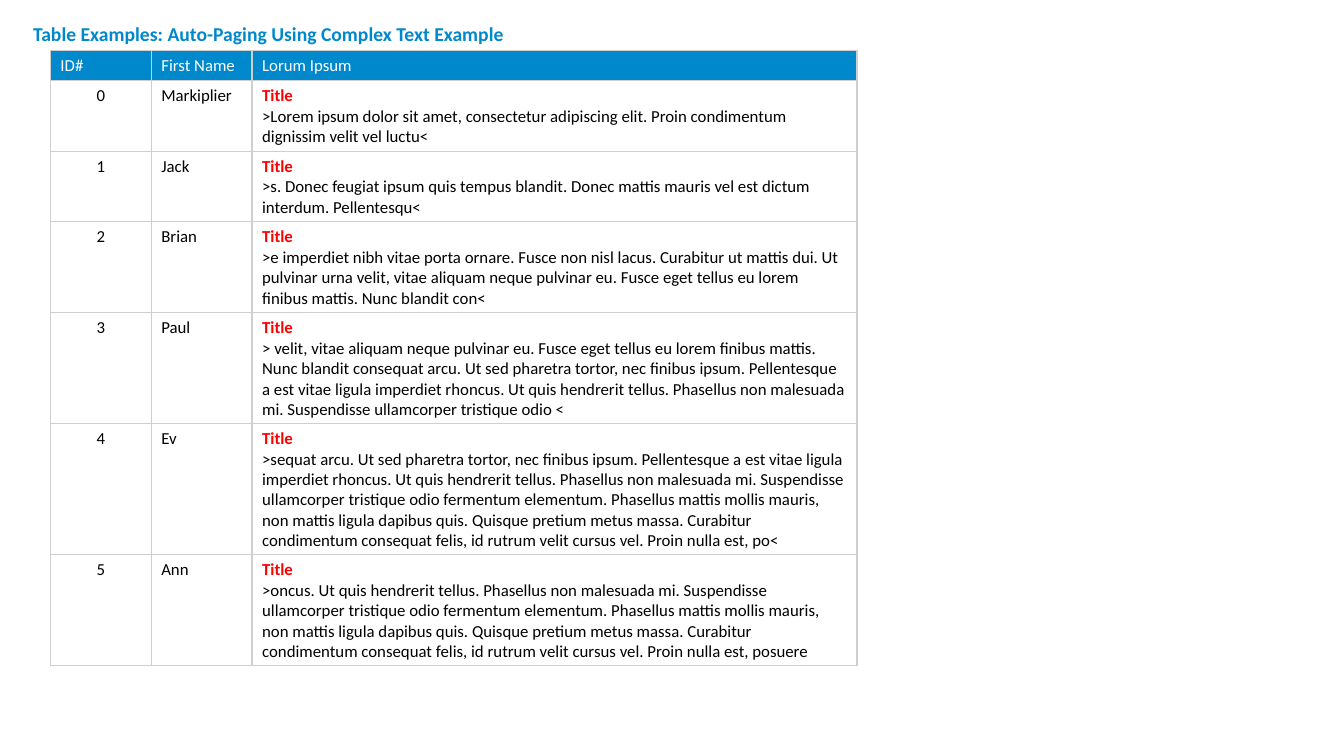
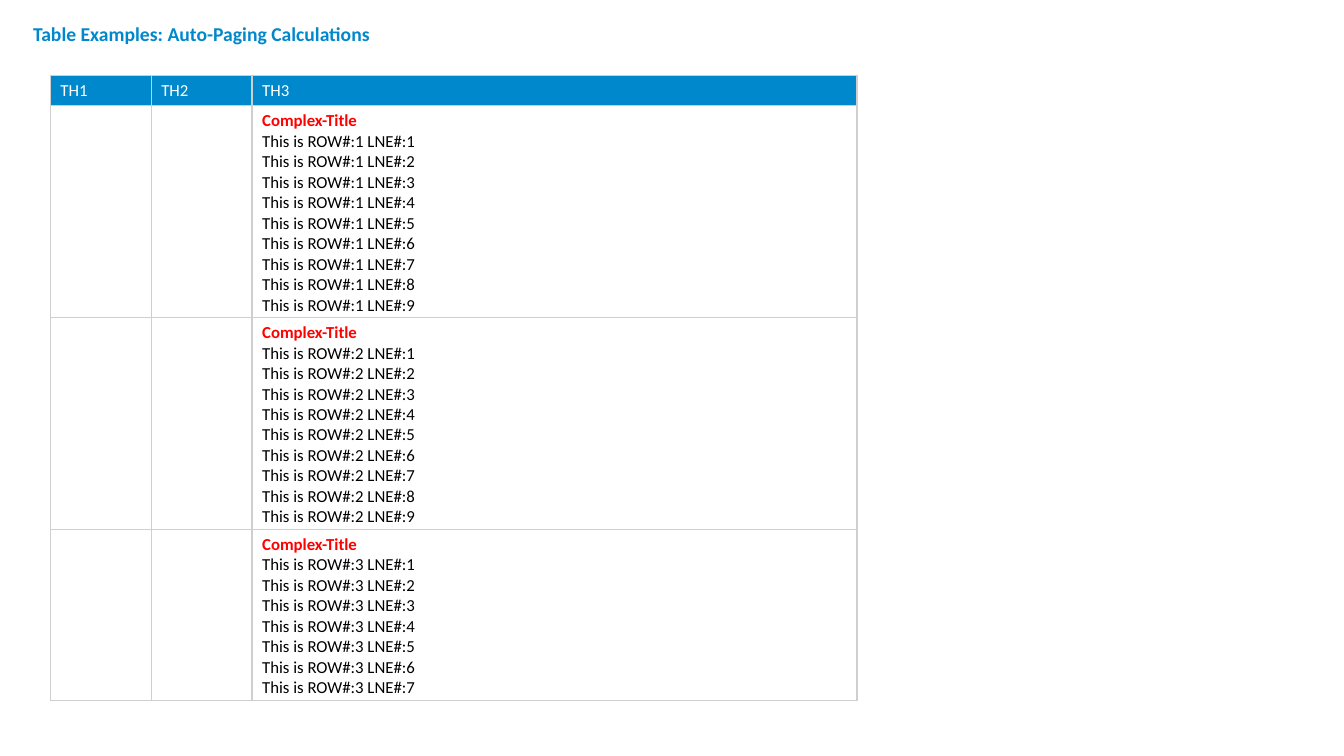
"""Build two slides of auto-paged tables with complex text cells."""
import pptx
import pptx.dml.color
import pptx.enum.text
import pptx.oxml
import pptx.oxml.ns
import pptx.util

Inches, Pt = pptx.util.Inches, pptx.util.Pt
CENTER = pptx.enum.text.PP_ALIGN.CENTER
MIDDLE = pptx.enum.text.MSO_ANCHOR.MIDDLE
HUES = {"blue": "0088CC", "white": "FFFFFF", "black": "000000", "red": "FF0000", "grey": "CFCFCF"}
FONT = "Calibri"
WIDTHS = [1, 1, 6]
LEAST = 0.3

LOREM = [
    ("Markiplier", ">Lorem ipsum dolor sit amet, consectetur adipiscing elit. Proin condimentum "
     "dignissim velit vel luctu<"),
    ("Jack", ">s. Donec feugiat ipsum quis tempus blandit. Donec mattis mauris vel est dictum "
     "interdum. Pellentesqu<"),
    ("Brian", ">e imperdiet nibh vitae porta ornare. Fusce non nisl lacus. Curabitur ut mattis dui. "
     "Ut pulvinar urna velit, vitae aliquam neque pulvinar eu. Fusce eget tellus eu lorem "
     "finibus mattis. Nunc blandit con<"),
    ("Paul", "> velit, vitae aliquam neque pulvinar eu. Fusce eget tellus eu lorem finibus mattis. "
     "Nunc blandit consequat arcu. Ut sed pharetra tortor, nec finibus ipsum. Pellentesque a est "
     "vitae ligula imperdiet rhoncus. Ut quis hendrerit tellus. Phasellus non malesuada mi. "
     "Suspendisse ullamcorper tristique odio <"),
    ("Ev", ">sequat arcu. Ut sed pharetra tortor, nec finibus ipsum. Pellentesque a est vitae ligula "
     "imperdiet rhoncus. Ut quis hendrerit tellus. Phasellus non malesuada mi. Suspendisse "
     "ullamcorper tristique odio fermentum elementum. Phasellus mattis mollis mauris, non mattis "
     "ligula dapibus quis. Quisque pretium metus massa. Curabitur condimentum consequat felis, id "
     "rutrum velit cursus vel. Proin nulla est, po<"),
    ("Ann", ">oncus. Ut quis hendrerit tellus. Phasellus non malesuada mi. Suspendisse ullamcorper "
     "tristique odio fermentum elementum. Phasellus mattis mollis mauris, non mattis ligula "
     "dapibus quis. Quisque pretium metus massa. Curabitur condimentum consequat felis, id rutrum "
     "velit cursus vel. Proin nulla est, posuere"),
]
people = [[[str(num)], [name], ["Title", text]] for num, (name, text) in enumerate(LOREM)]
counts = [[[], [], ["Complex-Title"] + [f"This is ROW#:{row} LNE#:{line}" for line in range(1, last + 1)]]
          for row, last in enumerate([9, 9, 7], 1)]

PAGES = [
    ("Table Examples: Auto-Paging Using Complex Text Example", 0.5,
     ["ID#", "First Name", "Lorum Ipsum"], people),
    ("Table Examples: Auto-Paging Calculations", 0.75, ["TH1", "TH2", "TH3"], counts),
]


def add_run(para, text, hue, size=12, bold=False):
    run = para.add_run()
    run.text = text
    font = run.font
    font.name, font.size, font.bold = FONT, Pt(size), bold
    font.color.rgb = pptx.dml.color.RGBColor.from_string(HUES[hue])


def style_cell(cell, hue=None):
    props = cell._tc.get_or_add_tcPr()
    for side in "LRTB":
        props.append(pptx.oxml.parse_xml(
            f'<a:ln{side} {pptx.oxml.ns.nsdecls("a")} w="{Pt(1)}"><a:solidFill>'
            f'<a:srgbClr val="{HUES["grey"]}"/></a:solidFill></a:ln{side}>'))
    if hue:
        cell.fill.solid()
        cell.fill.fore_color.rgb = pptx.dml.color.RGBColor.from_string(HUES[hue])
    else:
        cell.fill.background()


deck = pptx.Presentation()
deck.slide_width, deck.slide_height = Inches(13.33), Inches(7.5)

for title, top, heads, body in PAGES:
    slide = deck.slides.add_slide(deck.slide_layouts[6])
    frame = slide.shapes.add_textbox(Inches(0.23), Inches(0.13), Inches(8), Inches(0.4)).text_frame
    frame.word_wrap = True
    frame.vertical_anchor = MIDDLE
    add_run(frame.paragraphs[0], title, "blue", 14, True)

    count = len(body) + 1
    table = slide.shapes.add_table(count, len(WIDTHS), Inches(0.5), Inches(top),
                                   Inches(sum(WIDTHS)), Inches(LEAST * count)).table
    table.horz_banding = False
    for col, width in zip(table.columns, WIDTHS):
        col.width = Inches(width)
    for cell, head in zip(table.rows[0].cells, heads):
        style_cell(cell, "blue")
        cell.vertical_anchor = MIDDLE
        add_run(cell.text_frame.paragraphs[0], head, "white")

    for row, data in enumerate(body, 1):
        for col, lines in enumerate(data):
            cell = table.cell(row, col)
            style_cell(cell)
            frame = cell.text_frame
            for idx, text in enumerate(lines):
                para = frame.add_paragraph() if idx else frame.paragraphs[0]
                if col == 0:
                    para.alignment = CENTER
                lead = col == 2 and idx == 0
                add_run(para, text, "red" if lead else "black", bold=lead)

deck.save("out.pptx")
